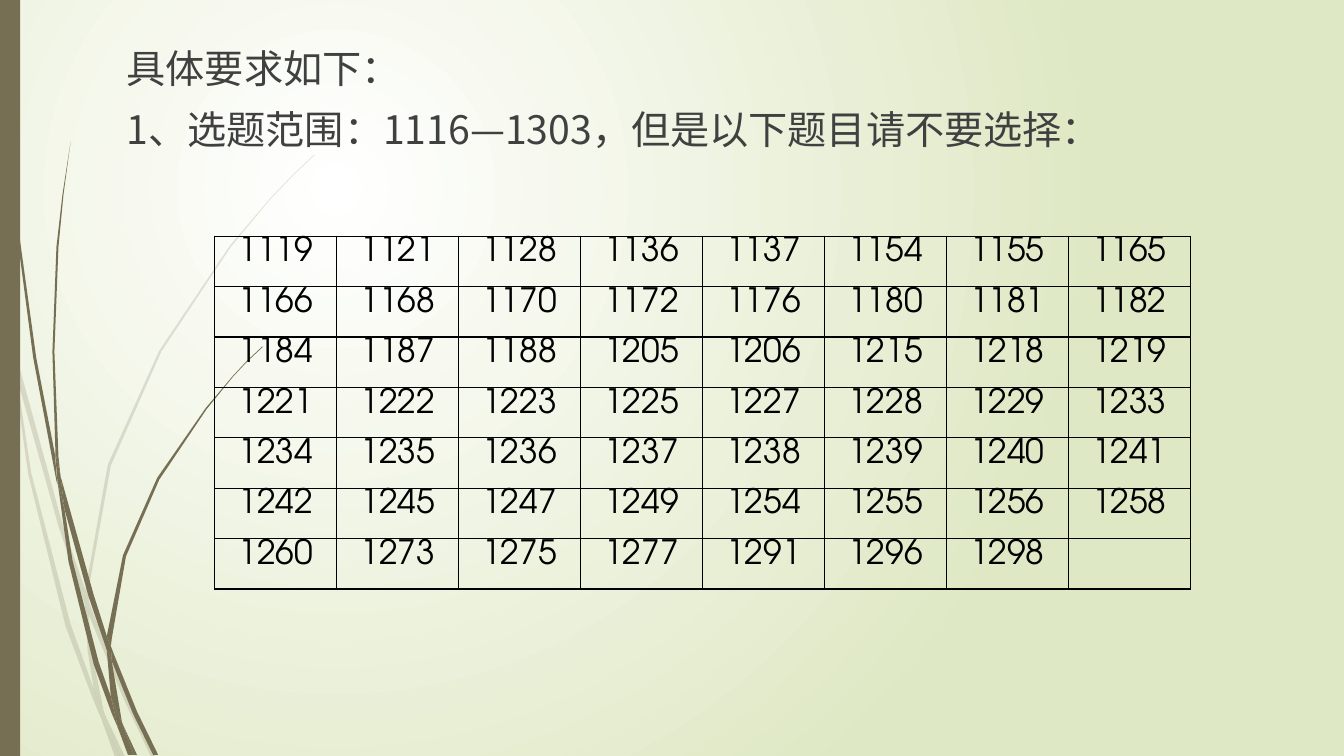
from lxml.etree import SubElement, fromstring
from pptx import Presentation
from pptx.dml.color import RGBColor
from pptx.enum.shapes import MSO_SHAPE as Preset
from pptx.enum.text import MSO_ANCHOR as Anchor, MSO_AUTO_SIZE as AutoSize, PP_ALIGN as Align
from pptx.oxml import parse_xml
from pptx.oxml.ns import nsdecls, qn
from pptx.util import Cm, Pt

HEADING_FONT, NUMBER_FONT = "Noto Sans CJK SC", "TeX Gyre Adventor"
BROWN, GREY, BLACK = "766F54", "404040", "000000"
GRASS_UNIT = Cm(0.0254)

REQUIREMENTS = ["具体要求如下：", "1、选题范围：1116—1303，但是以下题目请不要选择："]
EXCLUDED = """
1119 1121 1128 1136 1137 1154 1155 1165
1166 1168 1170 1172 1176 1180 1181 1182
1184 1187 1188 1205 1206 1215 1218 1219
1221 1222 1223 1225 1227 1228 1229 1233
1234 1235 1236 1237 1238 1239 1240 1241
1242 1245 1247 1249 1254 1255 1256 1258
1260 1273 1275 1277 1291 1296 1298
""".split()
COLUMNS = 8

PALE_GRASS = """
11,350 9,322 0,282 0,299 10,344
58,522 84,599 85,586 62,520 14,345 17,376
92,607 88,596 88,610 123,694 150,751 155,751 127,692
119,751 124,751 105,711
93,683 70,619 31,469 17,376 11,350 28,470 65,621 92,693 101,714 99,707
84,599 87,646 93,683 96,692 105,711 103,706 91,646 88,610 88,608
88,584 110,462 160,349 229,245 268,198 290,175 312,154 312,153 289,175 268,197 228,244 158,348 107,461 85,584 85,586 88,596
101,714 114,751 119,751
88,608 88,610 88,596 85,586 84,599
96,692 93,683 99,707 101,714 119,751 105,711
"""
DARK_GRASS = """
7,110 17,233 33,355 56,477 57,481 55,457 55,453 36,355 19,232 8,109 5,48 4,0 3,0 4,48
88,592 106,645 106,633 106,631 93,590 60,472 64,505
113,649 110,641 111,656 132,708 152,749 157,749 136,706
110,691 98,657 72,556 64,505 57,477 68,557 93,659 111,708 117,722 116,717
60,472 58,453 54,349 58,245 63,193 70,141 62,193 56,245 52,349 55,449
133,749 136,749 122,719
57,477 64,505 60,472 55,449 55,453
111,633 125,552 158,476 205,406 231,374 245,359 261,344 260,344 245,358 231,373 204,405 156,474 122,551 106,631 110,641
117,722 127,749 131,749
106,645 110,691 116,706 122,719 121,716 111,656 109,651
106,645 109,651 111,656 110,641 106,631 106,633
116,706 110,691 116,717 117,722 130,749 133,749 122,719
"""


def colour(hex_code):
    """Turn a hex string into a colour."""
    return RGBColor.from_string(hex_code)


def paint(shape, hex_code, opacity=100):
    """Fill a shape with one colour, without outline or shadow."""
    shape.shadow.inherit = False
    shape.line.fill.background()
    shape.fill.solid()
    shape.fill.fore_color.rgb = colour(hex_code)
    if opacity < 100:
        tint = shape.fill._xPr.find(".//" + qn("a:srgbClr"))
        SubElement(tint, qn("a:alpha"), val=str(opacity * 1000))


def style_text(para, font, size, hex_code, align):
    """Align a paragraph and format its runs."""
    para.alignment = align
    for span in para.runs:
        span.font.name, span.font.size = font, Pt(size)
        span.font.color.rgb = colour(hex_code)
        SubElement(span.font._element, qn("a:ea"), typeface=font)


def add_grass(page, left, top, pieces, opacity):
    """Draw one tuft of grass, one outline for each line of points."""
    for piece in pieces.strip().splitlines():
        points = [tuple(map(int, pair.split(","))) for pair in piece.split()]
        builder = page.shapes.build_freeform(*points[0], scale=GRASS_UNIT)
        builder.add_line_segments(points[1:], close=True)
        blade = builder.convert_to_shape(Cm(left), Cm(top))
        paint(blade, BROWN, opacity)


def add_scenery(page, left, top, height):
    """Draw the gradient background, the grass and the side bar."""
    page.background.fill.gradient()
    gradient = page.background._cSld.find(".//" + qn("a:gradFill"))
    gradient.getparent().replace(gradient, fromstring(
        f'<a:gradFill {nsdecls("a")} rotWithShape="1"><a:gsLst>'
        '<a:gs pos="0"><a:srgbClr val="FFFFFF"/></a:gs>'
        '<a:gs pos="100000"><a:srgbClr val="DFE8C4"/></a:gs></a:gsLst>'
        '<a:path path="circle"><a:fillToRect l="50000" t="50000" r="100000" b="100000"/>'
        '</a:path></a:gradFill>'))
    add_grass(page, left, top, PALE_GRASS, 20)
    add_grass(page, left, top, DARK_GRASS, 100)
    bar = page.shapes.add_shape(Preset.RECTANGLE, Cm(left), Cm(top), Cm(0.51), Cm(height))
    paint(bar, BROWN)


def fill_requirements(page, left, top, width, height):
    """Write the requirements in the body placeholder."""
    page.shapes.title.element.getparent().remove(page.shapes.title.element)
    box = page.placeholders[1]
    box.left, box.top, box.width, box.height = map(Cm, (left, top, width, height))
    frame = box.text_frame
    frame.text = "\n".join(REQUIREMENTS)
    frame.auto_size, frame.vertical_anchor = AutoSize.NONE, Anchor.TOP
    for para in frame.paragraphs:
        para.space_before, para.line_spacing = Pt(10), 1.0
        style_text(para, HEADING_FONT, 28, GREY, Align.JUSTIFY)
        settings = para._p.get_or_add_pPr()
        settings.set("marL", "0")
        settings.set("indent", "0")
        SubElement(settings, qn("a:buNone"))


def format_cell(cell):
    """Give a cell thin black borders, no fill and tight margins."""
    cell.margin_left = cell.margin_right = Cm(0.18)
    cell.margin_top = cell.margin_bottom = 0
    cell.fill.background()
    for index, side in enumerate(("lnL", "lnR", "lnT", "lnB")):
        cell._tc.get_or_add_tcPr().insert(index, parse_xml(
            f'<a:{side} {nsdecls("a")} w="12700"><a:solidFill>'
            f'<a:srgbClr val="{BLACK}"/></a:solidFill></a:{side}>'))


def add_excluded_table(page, left, top, width, height):
    """List the excluded question numbers in a grid."""
    rows = -(-len(EXCLUDED) // COLUMNS)
    table = page.shapes.add_table(rows, COLUMNS, *map(Cm, (left, top, width, height))).table
    table.first_row = table.horz_banding = False
    for cell in table.iter_cells():
        format_cell(cell)
    for index, number in enumerate(EXCLUDED):
        cell = table.cell(*divmod(index, COLUMNS))
        cell.text = number
        para = cell.text_frame.paragraphs[0]
        para.line_spacing = Pt(23)
        style_text(para, NUMBER_FONT, 24, BLACK, Align.CENTER)


deck = Presentation()
deck.slide_width, deck.slide_height = Cm(33.87), Cm(19.05)
page = deck.slides.add_slide(deck.slide_layouts[1])
add_scenery(page, 0, 0, 19.05)
fill_requirements(page, 2.94, 0.99, 28.78, 5.21)
add_excluded_table(page, 5.41, 5.95, 24.59, 8.89)
deck.save("out.pptx")
